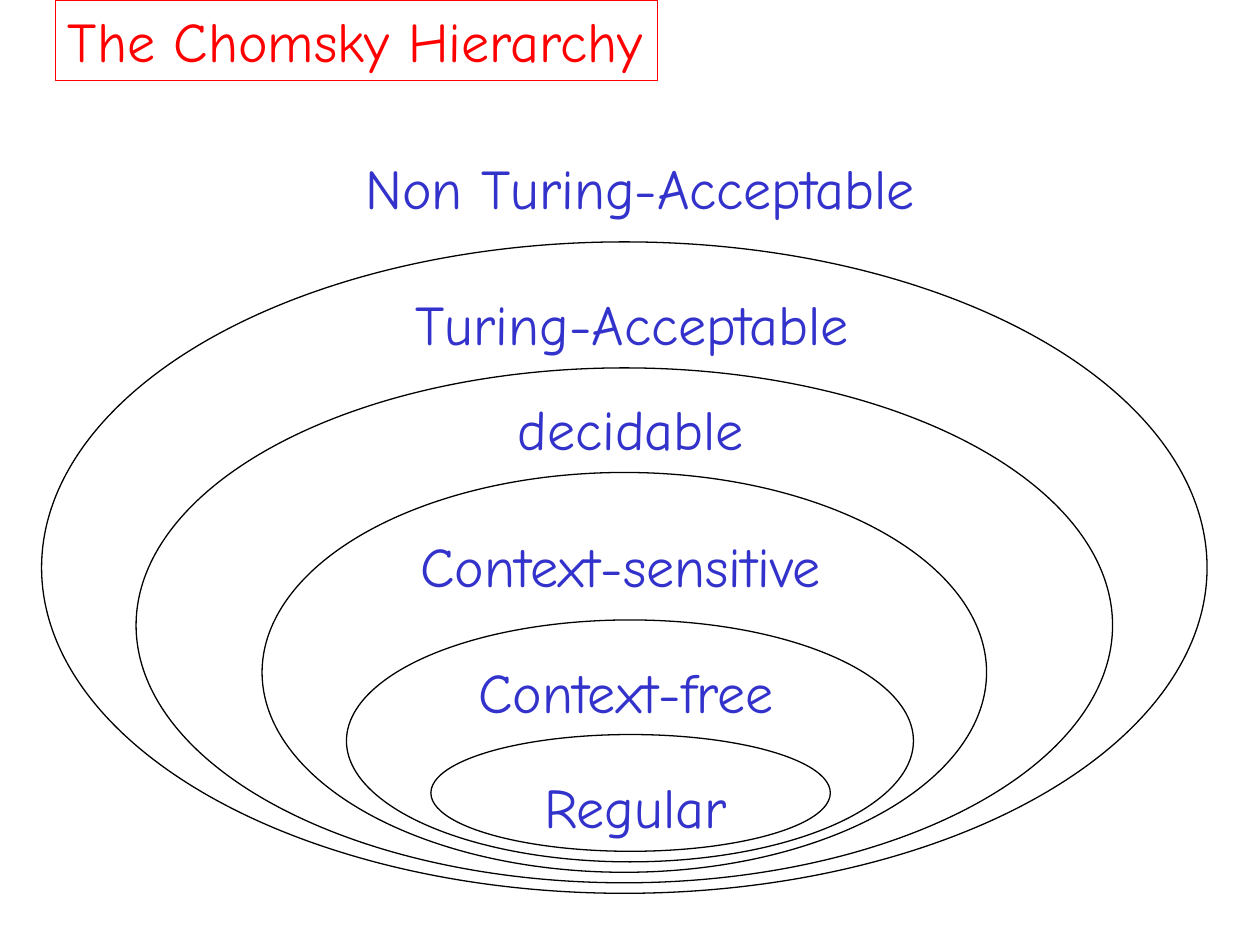
from pptx import Presentation
from pptx.dml.color import RGBColor
from pptx.enum.shapes import MSO_SHAPE as Shape
from pptx.enum.text import MSO_AUTO_SIZE as AutoSize
from pptx.util import Inches, Pt

FONT, SIZE = "Comic Neue", 32
BLACK, RED, BLUE = "000000", "FF0000", "3333CC"
TEXT_H = 0.64
OUTER_BOTTOM, BOTTOM_STEP = 7.09, 1 / 12

TITLE = ("The Chomsky Hierarchy", 0.44, 0, 4.78)
# name, left, top, width
CLASSES = [
    ("Non Turing-Acceptable", 2.8, 1.17, 4.58),
    ("Turing-Acceptable", 3.2, 2.25, 3.66),
    ("decidable", 4.01, 3.08, 2),
    ("Context-sensitive", 3.24, 4.17, 3.4),
    ("Context-free", 3.7, 5.17, 2.57),
    ("Regular", 4.22, 6.08, 1.65),
]
# left, top, width
RINGS = [
    (0.33, 1.92, 9.25),
    (1.08, 2.92, 7.75),
    (2.08, 3.75, 5.75),
    (2.75, 4.92, 4.5),
    (3.42, 5.83, 3.17),
]


def rgb(color):
    return RGBColor.from_string(color)


def outline(sp, color):
    sp.line.color.rgb = rgb(color)
    sp.line.width = Pt(0.75)


def add_ring(s, left, top, width, bottom):
    box = map(Inches, (left, top, width, bottom - top))
    sp = s.shapes.add_shape(Shape.OVAL, *box)
    sp.shadow.inherit = False
    sp.fill.background()
    outline(sp, BLACK)


def add_label(s, text, left, top, width, color):
    sp = s.shapes.add_textbox(*map(Inches, (left, top, width, TEXT_H)))
    tf = sp.text_frame
    tf.word_wrap = False
    tf.auto_size = AutoSize.SHAPE_TO_FIT_TEXT
    r = tf.paragraphs[0].add_run()
    r.text = text
    r.font.name, r.font.size = FONT, Pt(SIZE)
    r.font.color.rgb = rgb(color)
    return sp


prs = Presentation()
prs.slide_width, prs.slide_height = Inches(10), Inches(7.5)
s = prs.slides.add_slide(prs.slide_layouts[6])

for i, ring in enumerate(RINGS):
    add_ring(s, *ring, OUTER_BOTTOM - i * BOTTOM_STEP)
for label in CLASSES:
    add_label(s, *label, BLUE)
outline(add_label(s, *TITLE, RED), RED)

prs.save("out.pptx")
